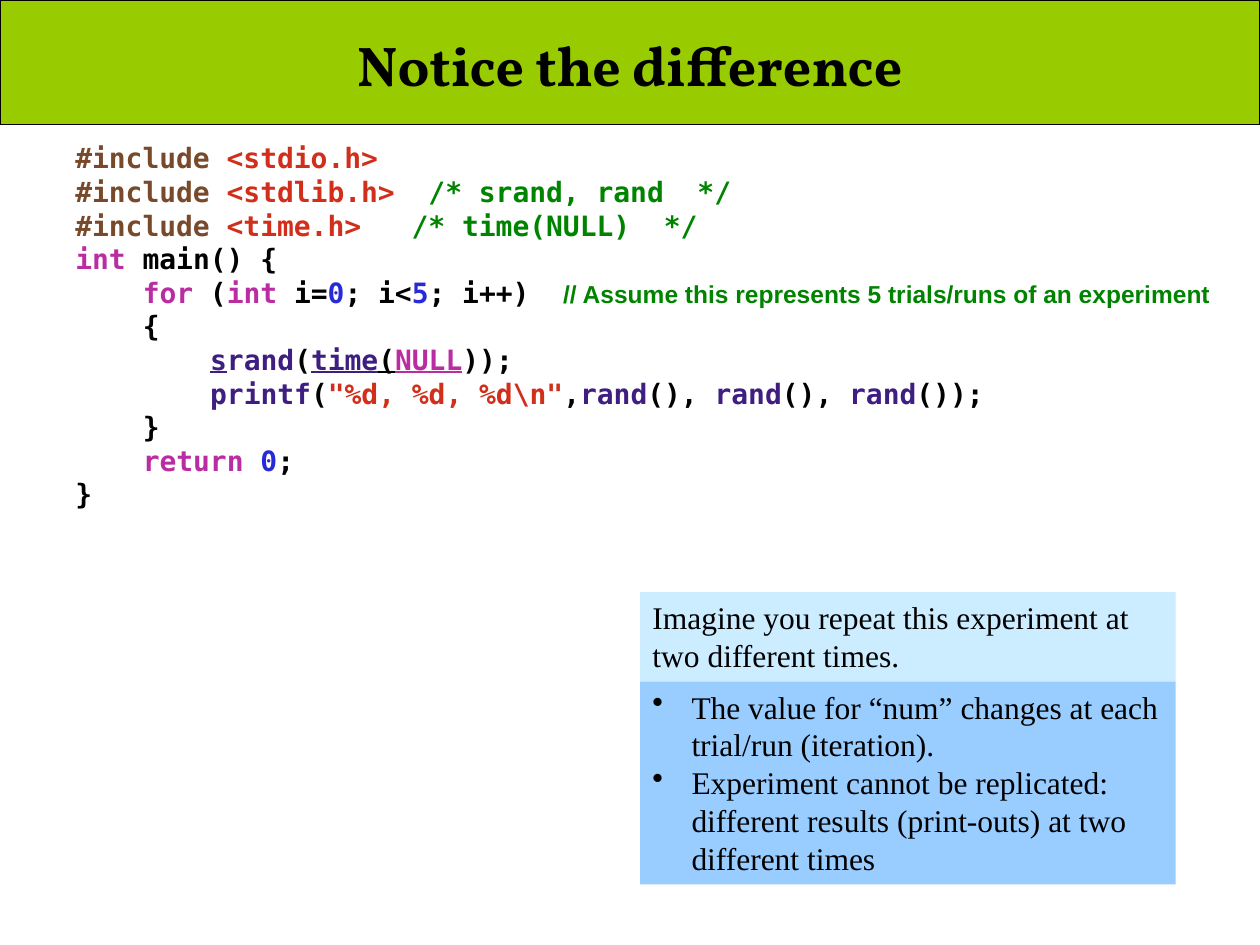
import pptx
import pptx.util
import pptx.dml.color
import pptx.enum.shapes
import pptx.enum.text
import pptx.oxml.ns
from lxml import etree

WIDTH, HEIGHT = 10, 7.5
INDENT = 0.535
COLOURS = {
    "bar": "99CC00",
    "question": "CCECFF",
    "findings": "99CCFF",
    "plain": "000000",
    "directive": "78492A",
    "string": "D12F1B",
    "comment": "008400",
    "keyword": "BA2DA2",
    "number": "272AD8",
    "function": "3E1E81",
}

CODE = [
    (0, [("#include ", "directive"), ("<stdio.h>", "string")]),
    (0, [("#include ", "directive"), ("<stdlib.h>  ", "string"), ("/* srand, rand  */", "comment")]),
    (0, [("#include ", "directive"), ("<time.h>   ", "string"), ("/* time(NULL)  */", "comment")]),
    (0, [("int", "keyword"), (" main() {", "plain")]),
    (1, [("for", "keyword"), (" (", "plain"), ("int ", "keyword"), ("i=", "plain"), ("0", "number"),
         ("; i<", "plain"), ("5", "number"), ("; i++)  ", "plain"),
         ("// Assume this represents 5 trials/runs of an experiment", "remark")]),
    (1, [("{", "plain")]),
    (2, [("s", "function", True), ("rand", "function"), ("(", "plain"), ("time", "function", True),
         ("(", "plain", True), ("NULL", "keyword", True), ("));", "plain")]),
    (2, [("printf", "function"), ("(", "plain"), ('"%d, %d, %d\\n"', "string"), (",", "plain"),
         ("rand", "function"), ("(), ", "plain"), ("rand", "function"), ("(), ", "plain"),
         ("rand", "function"), ("());", "plain")]),
    (1, [("}", "plain")]),
    (1, [("return ", "keyword"), ("0", "number"), (";", "plain")]),
    (0, [("}", "plain")]),
]

QUESTION = ["Imagine you repeat this experiment at two different times."]
FINDINGS = [
    "The value for “num” changes at each trial/run (iteration).",
    "Experiment cannot be replicated: different results (print-outs) at two different times",
]


def rgb(name):
    return pptx.dml.color.RGBColor.from_string(COLOURS[name])


def inches(box):
    return [pptx.util.Inches(length) for length in box]


def add_run(paragraph, text, font, size, colour="plain", bold=False, underline=False):
    run = paragraph.add_run()
    run.text = text
    run.font.name = font
    run.font.size = pptx.util.Pt(size)
    run.font.bold = bold
    run.font.underline = underline
    run.font.color.rgb = rgb(colour)


def next_paragraph(frame, index):
    return frame.add_paragraph() if index else frame.paragraphs[0]


def set_indent(paragraph, left, first=0.0):
    properties = paragraph._p.get_or_add_pPr()
    properties.set("marL", str(pptx.util.Inches(left)))
    properties.set("indent", str(pptx.util.Inches(first)))
    return properties


def add_panel(slide, box, colour):
    panel = slide.shapes.add_shape(pptx.enum.shapes.MSO_SHAPE.RECTANGLE, *inches(box))
    panel.shadow.inherit = False
    panel.fill.solid()
    panel.fill.fore_color.rgb = rgb(colour)
    panel.line.fill.background()
    return panel


def add_header(slide, box):
    left, top, width, height = box
    bar = add_panel(slide, box, "bar")
    bar.line.color.rgb = rgb("plain")
    bar.line.width = pptx.util.Pt(0.75)
    slide.shapes._spTree.insert(2, bar._element)
    title = slide.shapes.title
    margin = width * 0.035
    title.left, title.top, title.width, title.height = inches(
        (left + margin, top + 0.02, width - 2 * margin, height - 0.01))
    title.text_frame.vertical_anchor = pptx.enum.text.MSO_ANCHOR.MIDDLE
    heading = title.text_frame.paragraphs[0]
    heading.alignment = pptx.enum.text.PP_ALIGN.CENTER
    add_run(heading, "Notice the difference", "Vollkorn", 32, bold=True)


def add_code(slide, box):
    frame = slide.shapes.add_textbox(*inches(box)).text_frame
    frame.word_wrap = True
    for index, (level, tokens) in enumerate(CODE):
        line = next_paragraph(frame, index)
        set_indent(line, level * INDENT)
        for text, kind, *underline in tokens:
            if kind == "remark":
                add_run(line, text, "Arial", 14, "comment", bold=True)
            else:
                add_run(line, text, "DejaVu Sans Mono", 16, kind, True, bool(underline))


def add_note(slide, box, colour, sentences, bulleted=False):
    frame = add_panel(slide, box, colour).text_frame
    frame.word_wrap = True
    frame.vertical_anchor = pptx.enum.text.MSO_ANCHOR.TOP
    for index, sentence in enumerate(sentences):
        paragraph = next_paragraph(frame, index)
        paragraph.alignment = pptx.enum.text.PP_ALIGN.LEFT
        if bulleted:
            properties = set_indent(paragraph, 0.31, -0.31)
            etree.SubElement(properties, pptx.oxml.ns.qn("a:buChar")).set("char", "•")
        add_run(paragraph, sentence, "Times New Roman", 18)


def add_notes(slide, box):
    left, top, width, height = box
    split = height * 0.305
    add_note(slide, (left, top + split, width, height - split), "findings", FINDINGS, True)
    add_note(slide, (left, top, width, split), "question", QUESTION)


def main():
    deck = pptx.Presentation()
    deck.slide_width, deck.slide_height = inches((WIDTH, HEIGHT))
    slide = deck.slides.add_slide(deck.slide_layouts[5])
    add_header(slide, (0, 0, WIDTH, HEIGHT * 0.132))
    add_code(slide, (WIDTH * 0.05, 1.07, WIDTH * 0.93, 5.43))
    add_notes(slide, (5.08, 4.7, WIDTH * 0.425, 2.32))
    deck.save("out.pptx")


if __name__ == "__main__":
    main()
